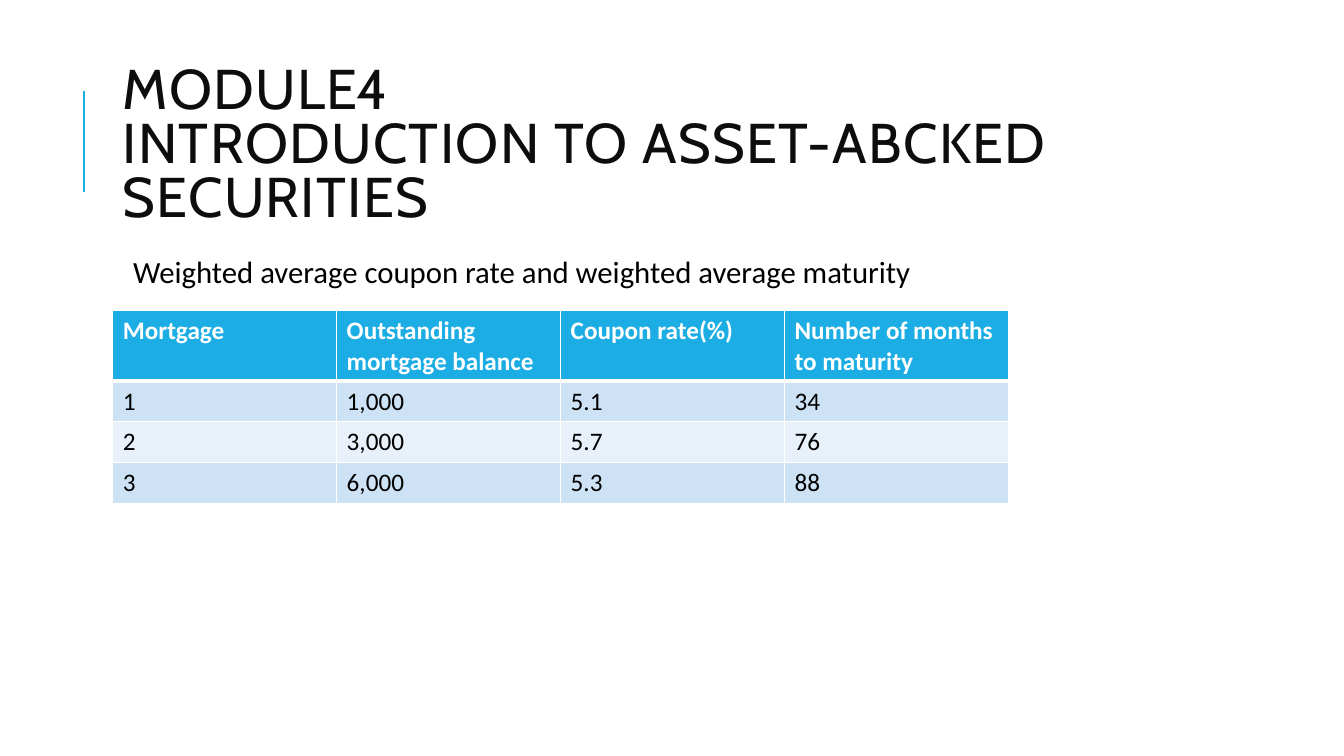
from dataclasses import dataclass

from lxml.etree import SubElement
from pptx import Presentation
from pptx.dml.color import RGBColor
from pptx.enum.shapes import MSO_CONNECTOR
from pptx.enum.text import MSO_ANCHOR
from pptx.oxml.ns import qn
from pptx.util import Cm, Pt


@dataclass(frozen=True)
class Theme:
    blue: str = "1CADE4"
    white: str = "FFFFFF"
    black: str = "000000"
    ink: str = "0D0D0D"
    bands: tuple = ("CDE3F5", "E8F1FA")
    head: str = "Cabin"
    body: str = "Calibri"
    big: int = 40
    mid: int = 22
    small: int = 18


THEME = Theme()
LEFT = 2.84
WIDTH = 27

TITLE = ("MODULE4", "INTRODUCTION TO ASSET-ABCKED SECURITIES")
TOPIC = "Weighted average coupon rate and weighted average maturity"
LOANS = (
    ("Mortgage", "Outstanding mortgage balance", "Coupon rate(%)",
     "Number of months to maturity"),
    ("1", "1,000", "5.1", "34"),
    ("2", "3,000", "5.7", "76"),
    ("3", "6,000", "5.3", "88"),
)


def add_run(para, text, face, size, color, bold=False):
    run = para.add_run()
    run.text = text
    font = run.font
    font.name, font.size, font.bold = face, Pt(size), bold
    font.color.rgb = RGBColor.from_string(color)
    return run


def add_box(slide, top, height):
    frame = slide.shapes.add_textbox(
        Cm(LEFT), Cm(top), Cm(WIDTH), Cm(height)).text_frame
    frame.word_wrap = True
    return frame


def add_rule(slide):
    rule = slide.shapes.add_connector(
        MSO_CONNECTOR.STRAIGHT, Cm(2.12), Cm(4.83), Cm(2.12), Cm(2.29))
    rule.line.color.rgb = RGBColor.from_string(THEME.blue)
    rule.line.width = Pt(1.5)
    SubElement(rule._element.spPr, qn("a:effectLst"))


def add_title(slide):
    frame = add_box(slide, 1.63, 4.17)
    frame.vertical_anchor = MSO_ANCHOR.MIDDLE
    para = frame.paragraphs[0]
    para.line_spacing = 0.8
    for i, text in enumerate(TITLE):
        if i:
            para.add_line_break()
        run = add_run(para, text, THEME.head, THEME.big, THEME.ink)
        run.font._element.set("spc", "100")
    # Line breaks take the title size too
    for gap in para._p.findall(qn("a:br")):
        SubElement(gap, qn("a:rPr"), sz=str(THEME.big * 100))


def add_topic(slide):
    frame = add_box(slide, 6.35, 11.18)
    frame.margin_left = frame.margin_right = Cm(0.13)
    frame.margin_top = frame.margin_bottom = Cm(0.13)
    para = frame.paragraphs[0]
    props = para._p.get_or_add_pPr()
    props.set("marL", str(Cm(0.25)))
    props.set("indent", str(-Cm(0.25)))
    tint = SubElement(props, qn("a:buClr"))
    SubElement(tint, qn("a:srgbClr"), val=THEME.blue)
    SubElement(props, qn("a:buChar"), char=" ")
    para.line_spacing = 0.9
    para.space_before, para.space_after = Pt(0), Pt(2)
    add_run(para, TOPIC, THEME.body, THEME.mid, THEME.black)


def add_edges(cell, top, base):
    props = cell._tc.get_or_add_tcPr()
    for side, width in (("L", 1), ("R", 1), ("T", top), ("B", base)):
        edge = SubElement(props, qn(f"a:ln{side}"), w=str(Pt(width)))
        fill = SubElement(edge, qn("a:solidFill"))
        SubElement(fill, qn("a:srgbClr"), val=THEME.white)


def add_loans(slide):
    table = slide.shapes.add_table(
        len(LOANS), len(LOANS[0]), Cm(LEFT), Cm(7.82),
        Cm(22.58), Cm(4.87)).table
    for i, row in enumerate(LOANS):
        first = i == 0
        table.rows[i].height = Cm(1.78 if first else 1.03)
        fill = THEME.blue if first else THEME.bands[(i - 1) % 2]
        color = THEME.white if first else THEME.black
        for j, text in enumerate(row):
            cell = table.cell(i, j)
            add_edges(cell, 3 if i == 1 else 1, 3 if first else 1)
            cell.fill.solid()
            cell.fill.fore_color.rgb = RGBColor.from_string(fill)
            add_run(cell.text_frame.paragraphs[0], text, THEME.body,
                    THEME.small, color, first)


def main():
    deck = Presentation()
    deck.slide_width, deck.slide_height = Cm(33.87), Cm(19.05)
    slide = deck.slides.add_slide(deck.slide_layouts[6])
    # Heading
    add_rule(slide)
    add_title(slide)
    # Content
    add_topic(slide)
    add_loans(slide)
    deck.save("out.pptx")


if __name__ == "__main__":
    main()
